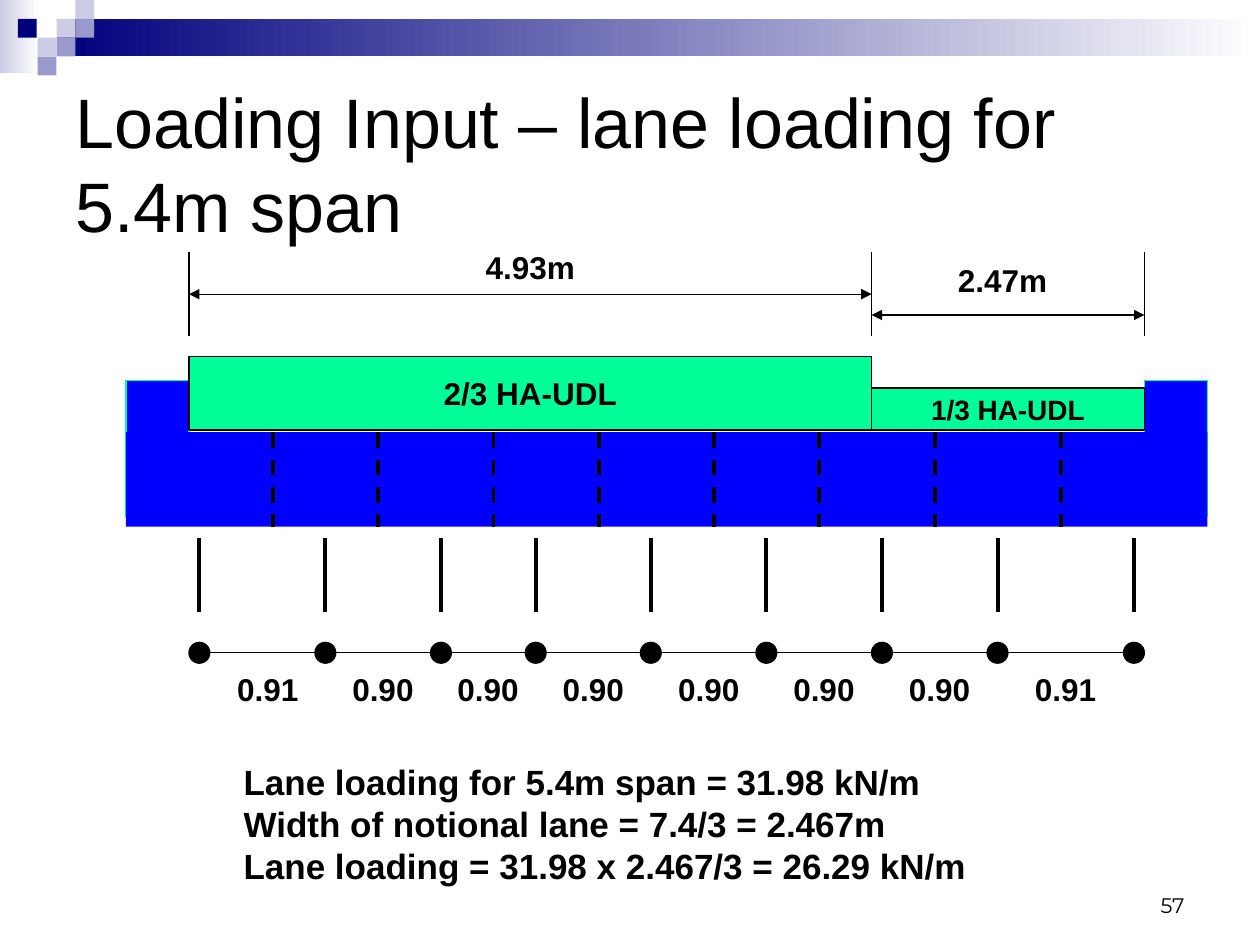
from lxml import etree
from pptx import Presentation
from pptx.dml.color import RGBColor
from pptx.enum.dml import MSO_LINE
from pptx.enum.shapes import MSO_CONNECTOR, MSO_SHAPE
from pptx.enum.text import MSO_ANCHOR, PP_ALIGN
from pptx.oxml.ns import qn
from pptx.util import Cm, Pt

RECTANGLE, OVAL = MSO_SHAPE.RECTANGLE, MSO_SHAPE.OVAL
STRAIGHT, DASH = MSO_CONNECTOR.STRAIGHT, MSO_LINE.DASH
LEFT, CENTER, RIGHT = PP_ALIGN.LEFT, PP_ALIGN.CENTER, PP_ALIGN.RIGHT
TOP, MIDDLE, BOTTOM = MSO_ANCHOR.TOP, MSO_ANCHOR.MIDDLE, MSO_ANCHOR.BOTTOM

color = RGBColor.from_string
BLACK, BLUE, GREEN = "000000", "0000FF", "00FF99"
NAVY, LILAC, PALE, WHITE = "00007D", "9999CC", "CCCCE6", "FFFFFF"

deck = Presentation()
deck.slide_width, deck.slide_height = Cm(25.4), Cm(19.05)
page = deck.slides.add_slide(deck.slide_layouts[6])


def add_block(kind, left, top, width, height, fill=None, outline=None):
    block = page.shapes.add_shape(kind, Cm(left), Cm(top), Cm(width), Cm(height))
    block.shadow.inherit = False
    if fill:
        block.fill.solid()
        block.fill.fore_color.rgb = color(fill)
    if outline:
        block.line.color.rgb = color(outline)
        block.line.width = Pt(0.75)
    else:
        block.line.fill.background()
    return block


def add_line(x1, y1, x2, y2, weight=0.75, arrows=False):
    line = page.shapes.add_connector(STRAIGHT, Cm(x1), Cm(y1), Cm(x2), Cm(y2))
    line.line.color.rgb = color(BLACK)
    line.line.width = Pt(weight)
    etree.SubElement(line._element.spPr, qn("a:effectLst"))
    if arrows:
        outline = line.line._get_or_add_ln()
        for end in ("a:headEnd", "a:tailEnd"):
            etree.SubElement(outline, qn(end), type="triangle")
    return line


# Header band
for left, top, width, height, start, stop in [
    (0, 0, 0.79, 1.47, PALE, WHITE),
    (1.14, 0.38, 24.26, 0.76, NAVY, WHITE),
]:
    band = add_block(RECTANGLE, left, top, width, height)
    band.fill.gradient()
    band.fill.gradient_angle = 0
    for gradient_stop, shade in zip(band.fill.gradient_stops, (start, stop)):
        gradient_stop.color.rgb = color(shade)

square = 0.38
for left, row, shade in [
    (1.14, 1, PALE), (1.52, 0, PALE), (1.52, 1, LILAC), (0.76, 2, PALE),
    (0.36, 1, NAVY), (1.14, 2, LILAC), (0.76, 3, LILAC),
]:
    add_block(RECTANGLE, left, row * square, square, square, shade)

# Deck slab with its two parapets
slab_left, slab_right, slab_top, slab_bottom = 2.54, 24.34, 8.71, 10.62
parapet = 1.27
for left in (slab_left, slab_right - parapet):
    add_block(RECTANGLE, left, 7.67, parapet, 2.74, BLUE, GREEN)
add_block(RECTANGLE, slab_left, slab_top, slab_right - slab_left,
          slab_bottom - slab_top, BLUE)
for joint in (5.5, 7.62, 9.95, 12.07, 14.39, 16.51, 18.84, 21.38):
    add_line(joint, slab_top, joint, slab_bottom, 2.25).line.dash_style = DASH

# Girders and the grillage nodes below them
girders = [4.02, 6.56, 8.89, 10.8, 13.12, 15.45, 17.78, 20.11, 22.86]
node_y, node_size = 13.16, 0.42
for girder in girders:
    add_line(girder, 10.85, girder, 12.33, 2.25)
    add_block(OVAL, girder - node_size / 2, node_y - node_size / 2,
              node_size, node_size, BLACK, BLACK)
add_line(girders[0], node_y, girders[-1], node_y)

# Lane loads and their dimensions
lane_start, lane_split, lane_end = 3.81, 17.57, 23.07
load_bottom = 8.67
for left, right, height, label, size, dimension_y in [
    (lane_start, lane_split, 1.48, "2/3 HA-UDL", 18, 5.93),
    (lane_split, lane_end, 0.85, "1/3 HA-UDL", 16, 6.35),
]:
    load = add_block(RECTANGLE, left, load_bottom - height, right - left, height,
                     GREEN, BLACK)
    load.text_frame.word_wrap = False
    load.text_frame.vertical_anchor = MIDDLE
    para = load.text_frame.paragraphs[0]
    para.text = label
    para.alignment = CENTER
    para.font.name, para.font.size, para.font.bold = "Arial", Pt(size), True
    para.font.color.rgb = color(BLACK)
    add_line(left, dimension_y, right, dimension_y, arrows=True)
for edge in (lane_start, lane_split, lane_end):
    add_line(edge, 6.77, edge, 5.08)

# Text: left, top, width, height, lines, size, bold, font, alignment, anchor
spacing_lefts = [4.45, 6.77, 8.89, 11.01, 13.34, 15.66, 17.99, 20.53]
spacings = ["0.91"] + ["0.90"] * 6 + ["0.91"]
texts = [
    (left, 13.39, 1.9, 1.02, [spacing], 18, True, "Arial", CENTER, TOP)
    for left, spacing in zip(spacing_lefts, spacings)
] + [
    (1.27, 1.9, 22.86, 2.74, ["Loading Input – lane loading for 5.4m span"],
     40, False, "Arial", LEFT, MIDDLE),
    (8.68, 4.87, 4.02, 1.02, ["4.93m"], 18, True, "Arial", CENTER, TOP),
    (18.2, 5.13, 4.02, 1.02, ["2.47m"], 18, True, "Arial", CENTER, TOP),
    (4.66, 15.2, 19.26, 2.8, [
        "Lane loading for 5.4m span = 31.98 kN/m",
        "Width of notional lane = 7.4/3 = 2.467m",
        "Lane loading = 31.98 x 2.467/3 = 26.29 kN/m",
    ], 20, True, "Arial", LEFT, TOP),
    (18.2, 17.36, 5.93, 1.27, ["57"], 12, False, "Montserrat", RIGHT, BOTTOM),
]
for left, top, width, height, lines, size, bold, font, alignment, anchor in texts:
    box = page.shapes.add_textbox(Cm(left), Cm(top), Cm(width), Cm(height))
    frame = box.text_frame
    frame.word_wrap = True
    frame.vertical_anchor = anchor
    frame.text = "\n".join(lines)
    for para in frame.paragraphs:
        para.alignment = alignment
        para.font.name, para.font.size, para.font.bold = font, Pt(size), bold
        para.font.color.rgb = color(BLACK)

deck.save("out.pptx")
